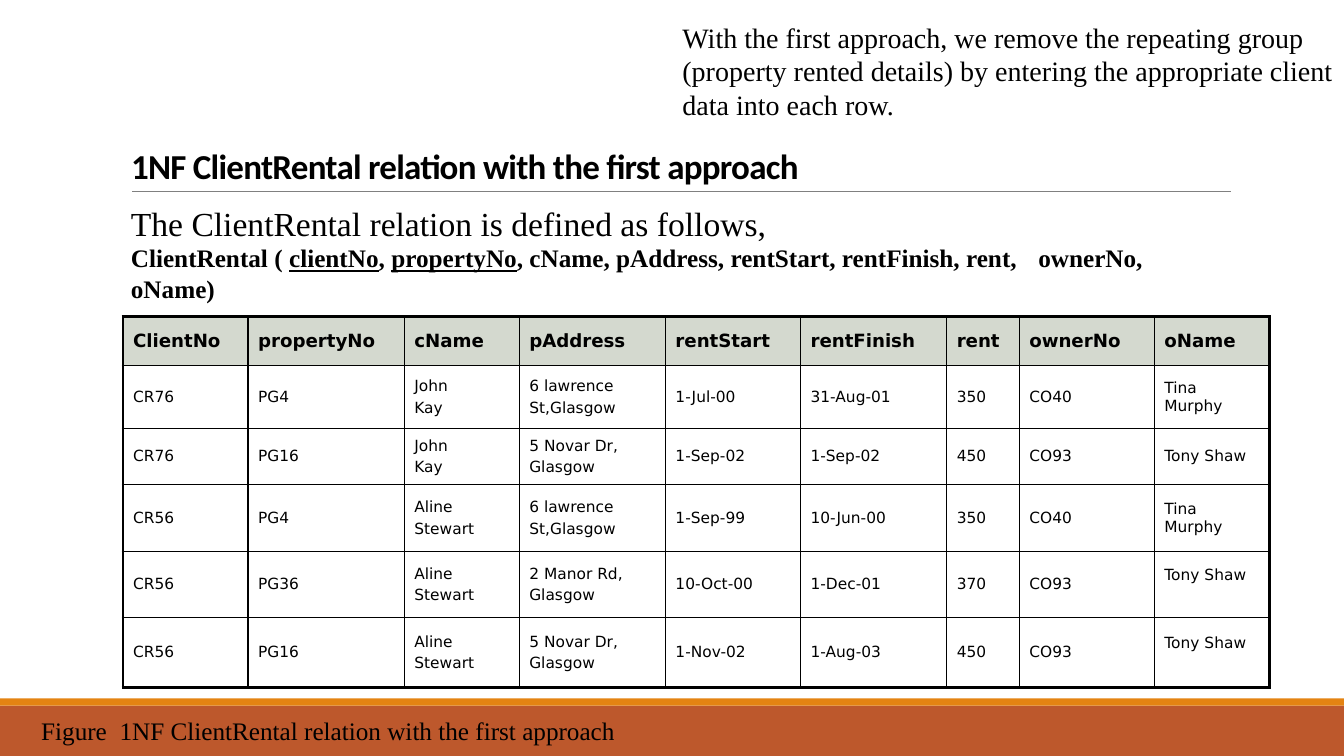
from lxml import etree
from pptx import Presentation
from pptx.dml.color import RGBColor
from pptx.enum.shapes import MSO_CONNECTOR, MSO_SHAPE
from pptx.enum.text import MSO_ANCHOR, MSO_AUTO_SIZE, PP_ALIGN
from pptx.oxml.ns import qn
from pptx.util import Inches, Pt

RECTANGLE = MSO_SHAPE.RECTANGLE
STRAIGHT = MSO_CONNECTOR.STRAIGHT
MIDDLE, BOTTOM = MSO_ANCHOR.MIDDLE, MSO_ANCHOR.BOTTOM
FIT_SHAPE, NO_FIT = MSO_AUTO_SIZE.SHAPE_TO_FIT_TEXT, MSO_AUTO_SIZE.NONE
LEFT = PP_ALIGN.LEFT

COLORS = {"text": "000000", "header": "D4D9CF", "footer": "BD582C",
          "accent": "E48312", "rule": "808080"}
SERIF, TITLE_FONT, TABLE_FONT = "Times New Roman", "Calibri", "DejaVu Sans"
THIN, THICK = 1, 2.25

COLUMN_WIDTHS = [1.24, 1.55, 1.14, 1.45, 1.34, 1.45, 0.72, 1.34, 1.14]
ROW_HEIGHTS = [0.49, 0.62, 0.56, 0.66, 0.66, 0.69]
RENTALS = [
    ["ClientNo", "propertyNo", "cName", "pAddress", "rentStart",
     "rentFinish", "rent", "ownerNo", "oName"],
    ["CR76", "PG4", "John\nKay", "6 lawrence\nSt,Glasgow", "1-Jul-00",
     "31-Aug-01", "350", "CO40", "Tina Murphy"],
    ["CR76", "PG16", "John\nKay", "5 Novar Dr,\nGlasgow", "1-Sep-02",
     "1-Sep-02", "450", "CO93", "Tony Shaw"],
    ["CR56", "PG4", "Aline\nStewart", "6 lawrence\nSt,Glasgow", "1-Sep-99",
     "10-Jun-00", "350", "CO40", "Tina Murphy"],
    ["CR56", "PG36", "Aline\nStewart", "2 Manor Rd,\nGlasgow", "10-Oct-00",
     "1-Dec-01", "370", "CO93", "Tony Shaw"],
    ["CR56", "PG16", "Aline\nStewart", "5 Novar Dr,\nGlasgow", "1-Nov-02",
     "1-Aug-03", "450", "CO93", "Tony Shaw"],
]
RAISED_OWNER_ROWS = (4, 5)


def color(name):
    return RGBColor.from_string(COLORS[name])


def style_run(span, font, size, bold=False, underline=False):
    span.font.name = font
    span.font.size = Pt(size)
    span.font.bold = bold
    span.font.underline = underline
    span.font.color.rgb = color("text")


def add_band(page, top, height, fill):
    band = page.shapes.add_shape(
        RECTANGLE, 0, Inches(top), Inches(13.33), Inches(height))
    band.shadow.inherit = False
    band.fill.solid()
    band.fill.fore_color.rgb = color(fill)
    band.line.fill.background()


def add_rule(page, left, right, top):
    rule = page.shapes.add_connector(
        STRAIGHT, Inches(left), Inches(top), Inches(right), Inches(top))
    rule.line.color.rgb = color("rule")
    rule.line.width = Pt(0.5)
    etree.SubElement(rule.element.spPr, qn("a:effectLst"))


def set_title(page, text):
    title = page.shapes.title
    title.left, title.top = Inches(1.2), Inches(0.31)
    title.width, title.height = Inches(11), Inches(1.59)
    frame = title.text_frame
    frame.text = text
    frame.auto_size = NO_FIT
    frame.vertical_anchor = BOTTOM
    para = frame.paragraphs[0]
    para.alignment = LEFT
    para.line_spacing = 0.85
    span = para.runs[0]
    style_run(span, TITLE_FONT, 25, bold=True)
    span.font._element.set("spc", "-50")


def add_text(page, left, top, width, height, text, sizes, wrap=False):
    """Add a serif text box with one size per line; return its frame."""
    box = page.shapes.add_textbox(
        Inches(left), Inches(top), Inches(width), Inches(height))
    frame = box.text_frame
    frame.word_wrap = wrap
    frame.auto_size = FIT_SHAPE
    frame.text = text
    for para, size in zip(frame.paragraphs, sizes):
        for span in para.runs:
            style_run(span, SERIF, size)
    return frame


def add_definition(page):
    frame = add_text(page, 1.2, 1.96, 10.91, 1.1,
                     "The ClientRental relation is defined as follows,",
                     [24], wrap=True)
    para = frame.add_paragraph()
    keys = ("clientNo", "propertyNo")
    attributes = (", cName, pAddress, rentStart, rentFinish, rent, "
                  "\townerNo, oName)")
    for text in ("ClientRental ( ", keys[0], ", ", keys[1], attributes):
        span = para.add_run()
        span.text = text
        style_run(span, SERIF, 18, bold=True, underline=text in keys)


def set_borders(cell, widths):
    properties = cell._tc.get_or_add_tcPr()
    for side, width in widths.items():
        border = etree.SubElement(properties, qn(f"a:ln{side}"),
                                  w=str(Pt(width)))
        fill = etree.SubElement(border, qn("a:solidFill"))
        etree.SubElement(fill, qn("a:srgbClr"), val=COLORS["text"])


def fill_cell(cell, text, is_header):
    cell.text = text
    cell.vertical_anchor = MIDDLE
    cell.margin_left = cell.margin_right = Inches(0.1)
    cell.margin_top = cell.margin_bottom = 0
    if is_header:
        cell.fill.solid()
        cell.fill.fore_color.rgb = color("header")
    else:
        cell.fill.background()
    for index, para in enumerate(cell.text_frame.paragraphs):
        if index:
            para.space_before = Pt(2.5)
        for span in para.runs:
            style_run(span, TABLE_FONT, 13 if is_header else 11, is_header)


def add_rental_table(page):
    last_row, last_column = len(ROW_HEIGHTS) - 1, len(COLUMN_WIDTHS) - 1
    table = page.shapes.add_table(
        len(ROW_HEIGHTS), len(COLUMN_WIDTHS), Inches(1.22), Inches(3.14),
        Inches(sum(COLUMN_WIDTHS)), Inches(sum(ROW_HEIGHTS))).table
    table.first_row = table.horz_banding = False
    for column, width in zip(table.columns, COLUMN_WIDTHS):
        column.width = Inches(width)
    for row, height in zip(table.rows, ROW_HEIGHTS):
        row.height = Inches(height)
    for r, values in enumerate(RENTALS):
        for c, text in enumerate(values):
            cell = table.cell(r, c)
            set_borders(cell, {
                "L": THICK if c == 0 else THIN,
                "R": THICK if c == last_column else THIN,
                "T": THICK if r == 0 else THIN,
                "B": THICK if r == last_row else THIN,
            })
            fill_cell(cell, text, is_header=r == 0)
    for r in RAISED_OWNER_ROWS:
        table.cell(r, last_column).margin_bottom = Inches(0.18)


def main():
    deck = Presentation()
    deck.slide_width, deck.slide_height = Inches(13.33), Inches(7.5)
    page = deck.slides.add_slide(deck.slide_layouts[5])
    add_band(page, 7, 0.5, "footer")
    add_band(page, 6.93, 0.07, "accent")
    add_rule(page, 1.31, 12.21, 1.9)
    set_title(page, "1NF ClientRental relation with the first approach")
    add_rental_table(page)
    add_text(page, 0.31, 7.05, 6.08, 0.4,
             "Figure  1NF ClientRental relation with the first approach", [18])
    add_definition(page)
    add_text(page, 6.67, 0.15, 6.7, 1.1,
             "With the first approach, we remove the repeating group\n"
             "(property rented details) by entering the appropriate client\n"
             "data into each row.", [20] * 3)
    deck.save("out.pptx")


if __name__ == "__main__":
    main()
